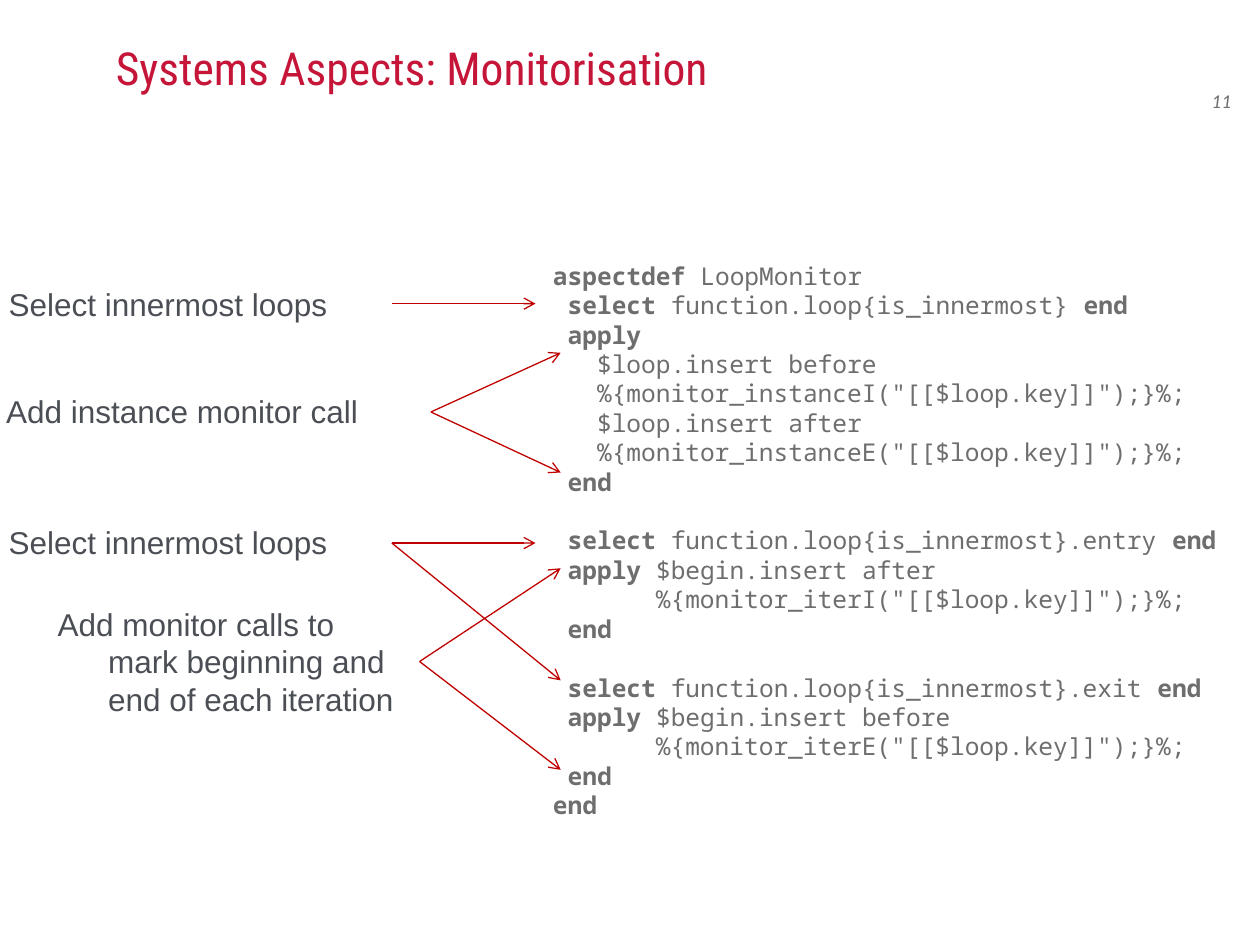
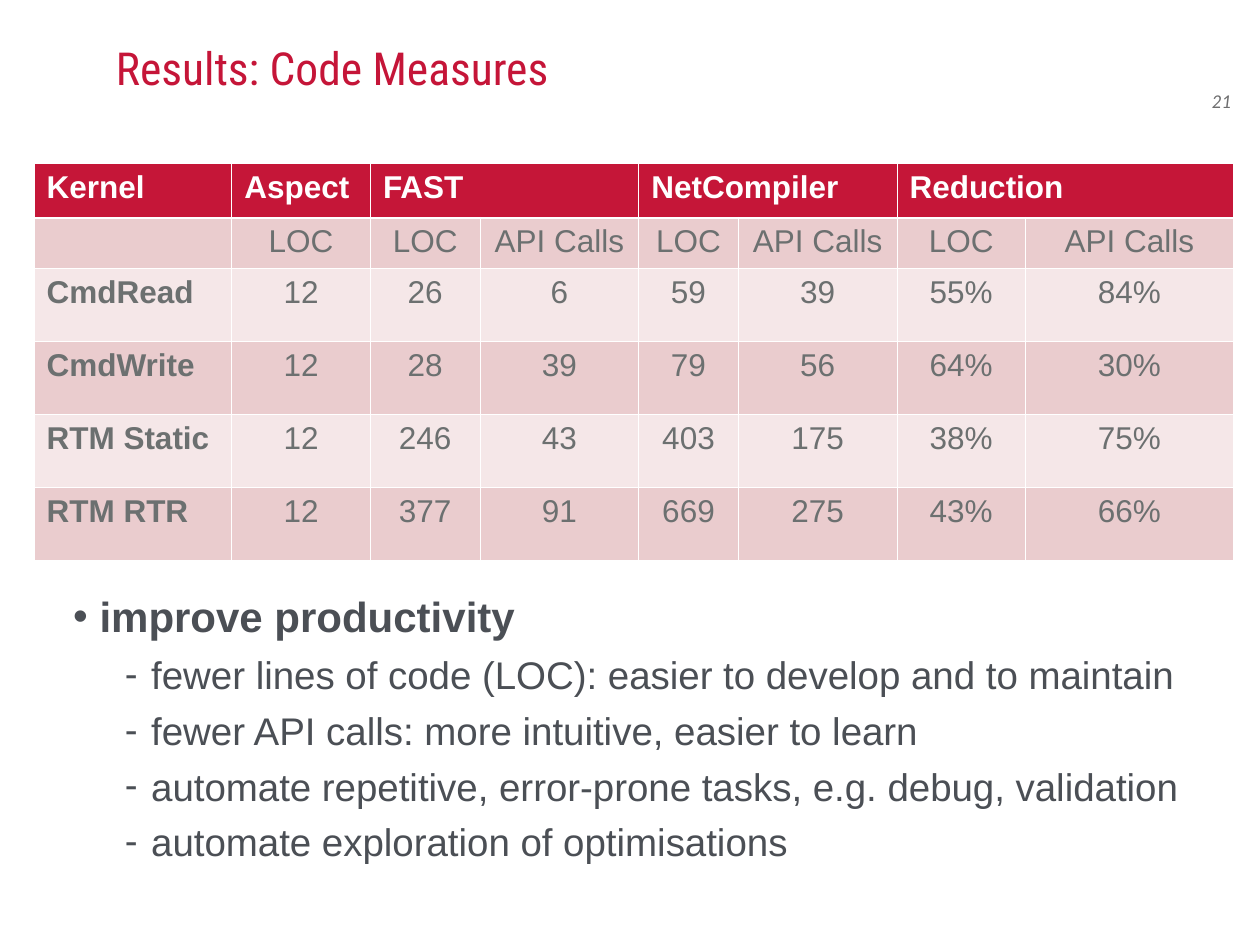
from pptx import Presentation
from pptx.dml.color import RGBColor
from pptx.enum.shapes import MSO_CONNECTOR
from pptx.enum.text import MSO_ANCHOR, MSO_AUTO_SIZE, PP_ALIGN
from pptx.oxml.ns import qn
from pptx.util import Inches, Pt
from lxml.etree import SubElement

COLORS = {
    "title": "C51538", "header": "C51638", "dark_band": "EACCCE",
    "light_band": "F5E7E8", "white": "FFFFFF", "cell": "6C7070",
    "code": "6E6E6F", "text": "4B4F55", "arrow": "C00000",
}
CODE_SIZE = 14
CODE_LINE = 16.8
CHAR_WIDTH = CODE_SIZE * 0.6

CODE = [
    (0, "**aspectdef** LoopMonitor"),
    (1, "**select** function.loop{is_innermost} **end**"),
    (1, "**apply**"),
    (3, "$loop.insert before"),
    (3, '%{monitor_instanceI("[[$loop.key]]");}%;'),
    (3, "$loop.insert after"),
    (3, '%{monitor_instanceE("[[$loop.key]]");}%;'),
    (1, "**end**"),
    (1, "**select** function.loop{is_innermost}.entry **end**"),
    (1, "**apply** $begin.insert after"),
    (7, '%{monitor_iterI("[[$loop.key]]");}%;'),
    (1, "**end**"),
    (1, "**select** function.loop{is_innermost}.exit **end**"),
    (1, "**apply** $begin.insert before"),
    (7, '%{monitor_iterE("[[$loop.key]]");}%;'),
    (1, "**end**"),
    (0, "**end**"),
]
BLOCK_STARTS = (8, 12)

LABELS = [
    ("Select innermost loops", (-0.03, 2.21, 3.52, 0.4), False),
    ("Add instance monitor call", (-0.05, 3.06, 3.86, 0.4), False),
    ("Select innermost loops", (-0.03, 4.1, 3.52, 0.4), False),
    ("Add monitor calls to mark beginning and end of each iteration",
     (0.36, 4.75, 2.97, 1), True),
]
ARROWS = [
    ((3.11, 2.41), [(4.25, 2.41)]),
    ((3.42, 3.27), [(4.45, 2.8), (4.45, 3.75)]),
    ((3.11, 4.31), [(4.25, 4.31), (4.45, 5.4)]),
]
ITERATION_ARROWS = ((3.33, 5.25), [(4.45, 4.51), (4.45, 6.11)])

COL_WIDTHS = [1.57, 1.1, 0.87, 1.26, 0.79, 1.26, 1.02, 1.65]
ROW_HEIGHTS = [0.43, 0.4] + [0.58] * 4
MEASURES = [
    ["Kernel", "Aspect", "FAST", "", "NetCompiler", "", "Reduction", ""],
    ["", "LOC"] + ["LOC", "API Calls"] * 3,
    ["CmdRead", "12", "26", "6", "59", "39", "55%", "84%"],
    ["CmdWrite", "12", "28", "39", "79", "56", "64%", "30%"],
    ["RTM Static", "12", "246", "43", "403", "175", "38%", "75%"],
    ["RTM RTR", "12", "377", "91", "669", "275", "43%", "66%"],
]
BENEFITS = [
    "fewer lines of code (LOC): easier to develop and to maintain",
    "fewer API calls: more intuitive, easier to learn",
    "automate repetitive, error-prone tasks, e.g. debug, validation",
    "automate exploration of optimisations",
]


def rgb(name):
    return RGBColor.from_string(COLORS[name])


def style(p, size, color, font="Arial", bold=False, italic=False):
    for r in p.runs:
        r.font.name = font
        r.font.size = Pt(size)
        r.font.color.rgb = rgb(color)
        r.font.bold = bold
        r.font.italic = italic


def set_indent(p, left, first=0):
    pPr = p._p.get_or_add_pPr()
    pPr.set("marL", str(Inches(left)))
    pPr.set("indent", str(Inches(first)))
    return pPr


def add_text(s, box, wrap=True, inset=True):
    sp = s.shapes.add_textbox(*map(Inches, box))
    tf = sp.text_frame
    tf.word_wrap = wrap
    if not inset:
        tf.margin_left = tf.margin_right = tf.margin_top = tf.margin_bottom = 0
    return sp


def add_slide(prs, title, number):
    s = prs.slides.add_slide(prs.slide_layouts[5])
    sp = s.shapes.title
    sp.left, sp.top, sp.width, sp.height = map(Inches, (0.92, 0.05, 8.25, 0.7))
    tf = sp.text_frame
    tf.text = title
    tf.auto_size = MSO_AUTO_SIZE.NONE
    tf.vertical_anchor = MSO_ANCHOR.BOTTOM
    tf.margin_left = tf.margin_right = tf.margin_top = tf.margin_bottom = 0
    p = tf.paragraphs[0]
    p.alignment = PP_ALIGN.LEFT
    style(p, 26, "title", "Roboto Condensed")
    tf = add_text(s, (9.52, 0.67, 0.45, 0.4)).text_frame
    tf.margin_right = 0
    tf.text = number
    style(tf.paragraphs[0], 10, "code", "Lato", italic=True)
    return s


def add_label(s, text, box, wrap):
    sp = add_text(s, box, wrap)
    sp.text_frame.text = text
    p = sp.text_frame.paragraphs[0]
    set_indent(p, 0.4, -0.4)
    style(p, 18, "text")
    return sp


def add_arrow(s, start, end):
    cxn = s.shapes.add_connector(MSO_CONNECTOR.STRAIGHT,
                                 *map(Inches, start + end))
    cxn.line.color.rgb = rgb("arrow")
    cxn.line.width = Pt(0.75)
    SubElement(cxn.line._get_or_add_ln(), qn("a:tailEnd"), type="arrow")
    SubElement(cxn._element.spPr, qn("a:effectLst"))
    return cxn


def add_code(s, box):
    tf = add_text(s, box).text_frame
    for i, (indent, line) in enumerate(CODE):
        p = tf.add_paragraph() if i else tf.paragraphs[0]
        set_indent(p, indent * CHAR_WIDTH / 72)
        p.line_spacing = Pt(CODE_LINE)
        if i in BLOCK_STARTS:
            p.space_before = Pt(CODE_LINE)
        for j, part in enumerate(line.split("**")):
            if part:
                r = p.add_run()
                r.text = part
                r.font.name = "Noto Sans Mono"
                r.font.size = Pt(CODE_SIZE)
                r.font.color.rgb = rgb("code")
                r.font.bold = j % 2 == 1


def set_borders(cell, row):
    thick = {0: "lnB", 1: "lnT"}.get(row)
    tcPr = cell._tc.get_or_add_tcPr()
    for side in ("lnL", "lnR", "lnT", "lnB"):
        width = Pt(1.47 if side == thick else 0.45)
        ln = SubElement(tcPr, qn("a:" + side), w=str(width))
        fill = SubElement(ln, qn("a:solidFill"))
        SubElement(fill, qn("a:srgbClr"), val=COLORS["white"])


def add_measures_table(s):
    box = (0.27, 1.3, sum(COL_WIDTHS), sum(ROW_HEIGHTS))
    table = s.shapes.add_table(len(MEASURES), len(COL_WIDTHS),
                               *map(Inches, box)).table
    for col, width in zip(table.columns, COL_WIDTHS):
        col.width = Inches(width)
    for row, height in zip(table.rows, ROW_HEIGHTS):
        row.height = Inches(height)
    for i, values in enumerate(MEASURES):
        band = "header" if i == 0 else ("dark_band" if i % 2 else "light_band")
        for j, value in enumerate(values):
            cell = table.cell(i, j)
            set_borders(cell, i)
            cell.fill.solid()
            cell.fill.fore_color.rgb = rgb(band)
            cell.text = value
            p = cell.text_frame.paragraphs[0]
            if i and j:
                p.alignment = PP_ALIGN.CENTER
            style(p, 18, "cell" if i else "white", bold=i == 0 or j == 0)
    for j in (2, 4, 6):
        table.cell(0, j).merge(table.cell(0, j + 1))


def add_bullet(p, text, char, left, size, before, bold=False):
    p.text = text
    p.space_before = Pt(before)
    pPr = set_indent(p, left, -0.21)
    color = SubElement(pPr, qn("a:buClr"))
    SubElement(color, qn("a:srgbClr"), val=COLORS["text"])
    SubElement(pPr, qn("a:buFont"), typeface="Arial")
    SubElement(pPr, qn("a:buChar"), char=char)
    style(p, size, "text", bold=bold)


def add_benefits(s):
    tf = add_text(s, (0.16, 4.69, 9.52, 2.44), inset=False).text_frame
    add_bullet(tf.paragraphs[0], "improve productivity", "•", 0.63, 24, 6, True)
    for text in BENEFITS:
        p = tf.add_paragraph()
        p.level = 1
        add_bullet(p, text, "-", 1.04, 22, 5.5)


def main():
    prs = Presentation()
    prs.slide_width = Inches(10)
    prs.slide_height = Inches(7.5)

    s = add_slide(prs, "Systems Aspects: Monitorisation", "11")
    add_code(s, (4.29, 2.02, 5.59, 4.54))
    labels = [add_label(s, *label) for label in LABELS]
    for start, ends in ARROWS:
        for end in ends:
            add_arrow(s, start, end)
    start, ends = ITERATION_ARROWS
    for end in ends:
        add_arrow(s, start, end).begin_connect(labels[-1], 3)

    s = add_slide(prs, "Results: Code Measures", "21")
    add_measures_table(s)
    add_benefits(s)
    prs.save("out.pptx")


if __name__ == "__main__":
    main()
